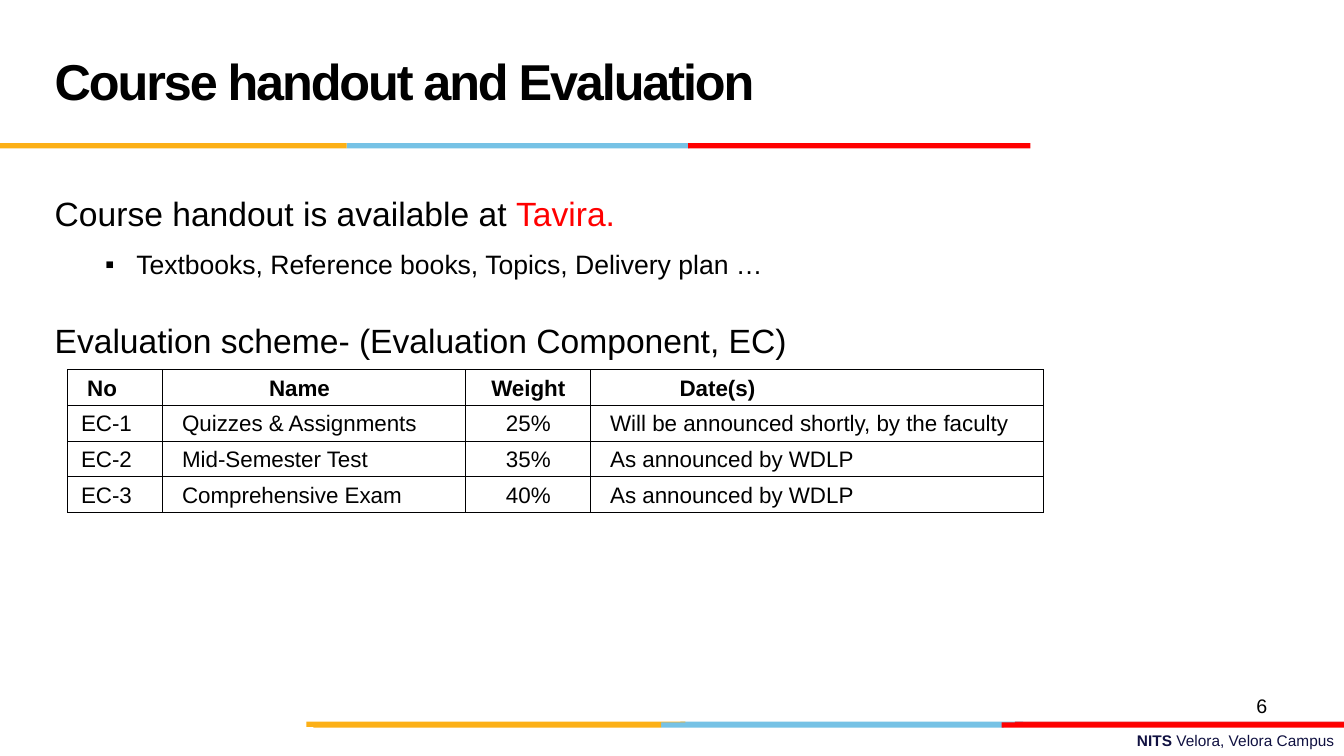
from lxml import etree
from pptx import Presentation
from pptx.dml.color import RGBColor
from pptx.enum.shapes import MSO_SHAPE
from pptx.enum.text import MSO_ANCHOR, PP_ALIGN
from pptx.oxml.ns import qn
from pptx.util import Pt

RECT = MSO_SHAPE.RECTANGLE
LEFT, CENTER, RIGHT = PP_ALIGN.LEFT, PP_ALIGN.CENTER, PP_ALIGN.RIGHT
TOP, MIDDLE = MSO_ANCHOR.TOP, MSO_ANCHOR.MIDDLE

FONT = "Arial"
COLORS = {
    "black": "000000",
    "white": "FFFFFF",
    "border": "000001",
    "navy": "101141",
    "amber": "FCB017",
    "sky": "76C2E5",
    "red": "FF0000",
    "crimson": "E31C24",
}

EVALUATION = [
    ("No", "Name", "Weight", "Date(s)"),
    ("EC-1", "Quizzes & Assignments", "25%",
     "Will be announced shortly, by the faculty"),
    ("EC-2", "Mid-Semester Test", "35%", "As announced by WDLP"),
    ("EC-3", "Comprehensive Exam", "40%", "As announced by WDLP"),
]
COLUMN_WIDTHS = (67.8, 216.6, 89.2, 323.2)
HEADER_INSETS = (13.9, 76, 5, 63.5)
ROW_INSETS = (9.5, 13.9, 5, 13.9)


def rgb(name):
    return RGBColor.from_string(COLORS[name])


def add_text(p, text, size=16, color="black", bold=False, spacing=None):
    r = p.add_run()
    r.text = text
    r.font.name = FONT
    r.font.size = Pt(size)
    r.font.bold = bold
    r.font.color.rgb = rgb(color)
    if spacing is not None:
        r._r.get_or_add_rPr().set("spc", str(int(spacing * 100)))
    return r


def add_box(slide, left, top, width, height, anchor=TOP, align=LEFT):
    tf = slide.shapes.add_textbox(
        Pt(left), Pt(top), Pt(width), Pt(height)).text_frame
    tf.word_wrap = True
    tf.vertical_anchor = anchor
    tf.paragraphs[0].alignment = align
    return tf


def add_stripe(slide, top, bars, height=3.8):
    """Bars are (left, right, color), drawn from back to front."""
    for left, right, color in bars:
        sp = slide.shapes.add_shape(
            RECT, Pt(left), Pt(top), Pt(right - left), Pt(height))
        sp.shadow.inherit = False
        sp.fill.solid()
        sp.fill.fore_color.rgb = rgb(color)
        sp.line.fill.background()


def add_footer(slide, left, top, width, height):
    tf = add_box(slide, left, top, width, height, align=RIGHT)
    p = tf.paragraphs[0]
    add_text(p, "NITS ", size=11, color="navy", bold=True)
    add_text(p, "Velora, Velora Campus", size=11, color="navy")
    # Two layers of the stripe above the footer
    add_stripe(slide, top - 3.6, [(486, 730.8, "sky"), (725, 960, "crimson"),
                                  (218.9, 489.6, "amber")])
    add_stripe(slide, top - 3, [(472.3, 717, "sky"), (223.9, 472.3, "amber"),
                                (715.5, 960, "red")])


def add_title(slide, left, top, width, height):
    tf = add_box(slide, left, top, width, height, anchor=MIDDLE)
    add_text(tf.paragraphs[0], "Course handout and Evaluation",
             size=36, bold=True, spacing=-1.5)
    add_stripe(slide, top + height, [(247.7, 492.5, "sky"),
                                     (0, 247.7, "amber"),
                                     (491.5, 736, "red")])


def add_body(slide, left, top, width, height):
    tf = add_box(slide, left, top, width, height)
    tf.margin_top = 0
    p = tf.paragraphs[0]
    add_text(p, "Course handout is available at ", size=24)
    add_text(p, "Tavira.", size=24, color="red")

    # Bulleted detail
    p = tf.add_paragraph()
    p.space_before = Pt(11)
    pPr = p._p.get_or_add_pPr()
    pPr.set("marL", str(Pt(58.3)))
    pPr.set("indent", str(Pt(-22.3)))
    etree.SubElement(pPr, qn("a:buFont"), typeface=FONT)
    etree.SubElement(pPr, qn("a:buChar"), char="▪")
    add_text(p, "Textbooks, Reference books, Topics, Delivery plan …", size=19)

    p = tf.add_paragraph()
    p.space_before = Pt(28)
    add_text(p, "Evaluation scheme- (Evaluation Component, EC)", size=24)


def set_borders(cell, color, width=1):
    tcPr = cell._tc.get_or_add_tcPr()
    for i, side in enumerate(("lnL", "lnR", "lnT", "lnB")):
        ln = etree.Element(qn("a:" + side), w=str(Pt(width)))
        fill = etree.SubElement(ln, qn("a:solidFill"))
        etree.SubElement(fill, qn("a:srgbClr"), val=COLORS[color])
        tcPr.insert(i, ln)


def add_evaluation_table(slide, left, top, row_height):
    rows, cols = len(EVALUATION), len(COLUMN_WIDTHS)
    table = slide.shapes.add_table(
        rows, cols, Pt(left), Pt(top),
        Pt(sum(COLUMN_WIDTHS)), Pt(rows * row_height)).table
    table.first_row = table.horz_banding = False
    for column, width in zip(table.columns, COLUMN_WIDTHS):
        column.width = Pt(width)
    for i, texts in enumerate(EVALUATION):
        table.rows[i].height = Pt(row_height)
        insets = ROW_INSETS if i else HEADER_INSETS
        for j, text in enumerate(texts):
            cell = table.cell(i, j)
            cell.fill.solid()
            cell.fill.fore_color.rgb = rgb("white")
            set_borders(cell, "border")
            cell.vertical_anchor = MIDDLE
            cell.margin_top = cell.margin_bottom = 0
            cell.margin_left, cell.margin_right = Pt(insets[j]), Pt(5)
            p = cell.text_frame.paragraphs[0]
            p.alignment = CENTER if j == 2 else LEFT
            p.line_spacing = 1.07
            add_text(p, text, bold=(i == 0))


def add_page_number(slide, left, top, width, height):
    tf = add_box(slide, left, top, width, height, align=RIGHT)
    add_text(tf.paragraphs[0], "6", size=14)


def main():
    prs = Presentation()
    prs.slide_width, prs.slide_height = Pt(960), Pt(540)
    slide = prs.slides.add_slide(prs.slide_layouts[6])
    add_footer(slide, 344, 519, 616.3, 21)
    add_title(slide, 32, 12.2, 664, 90)
    add_body(slide, 32, 137.6, 598, 120)
    add_page_number(slide, 688.3, 491.8, 224, 37)
    add_evaluation_table(slide, 48.4, 264.2, 25.5)
    prs.save("out.pptx")


if __name__ == "__main__":
    main()
